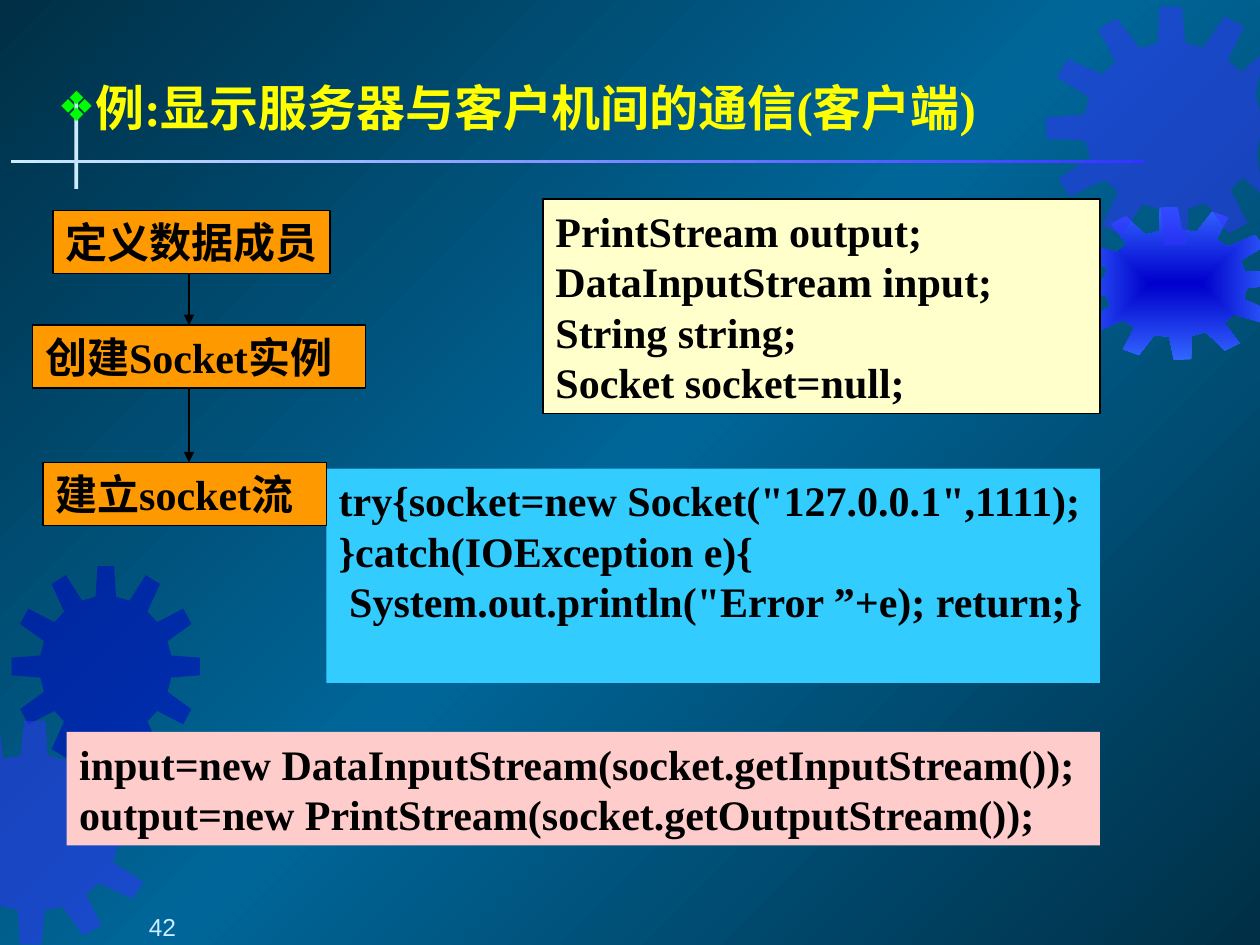
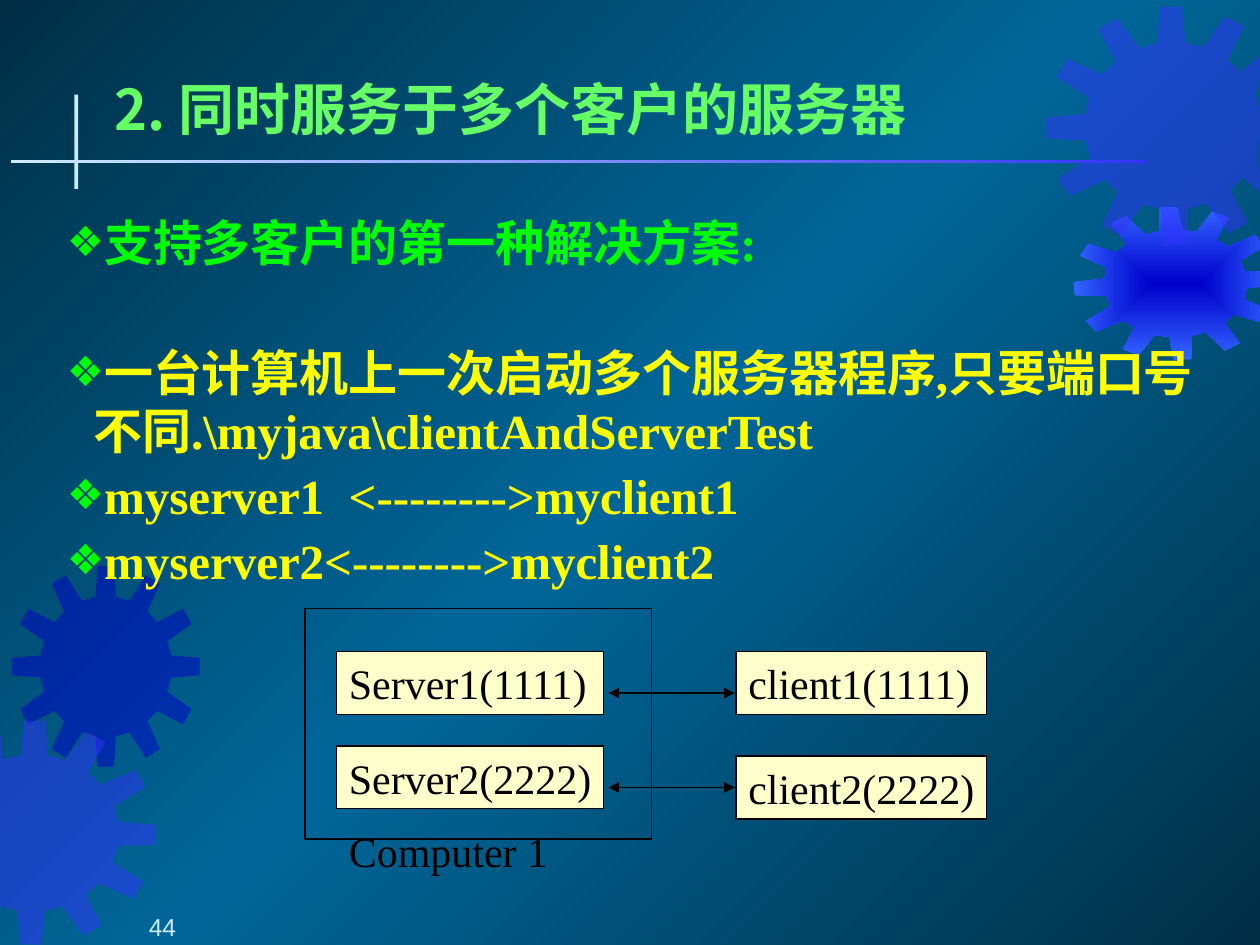
from math import cos, radians, sin
from pptx import Presentation
from pptx import oxml
from pptx.dml.color import RGBColor
from pptx.enum import shapes, text
from pptx.oxml import ns
from pptx.util import Inches, Pt

COLORS = {
    "deep": "002F46", "ocean": "006699", "navy": "0000CC", "blue": "3333FF",
    "azure": "3366FF", "ice": "CCECFF", "yellow": "FFFF00", "green": "00FF00",
    "mint": "66FF66", "orange": "FF9900", "cream": "FFFFCC", "sky": "33CCFF",
    "pink": "FFCCCC", "black": "000000",
}
SERIF, HAN, SANS = "Times New Roman", "Noto Sans CJK SC", "Arial"

TEETH = 12
TOOTH = [(-9, 0.7), (-5, 1), (5, 1), (9, 0.7)]
GEARS = [
    {"color": "navy", "center": (0.84, 5.29), "radii": (0.75, 0.8), "turn": 0,
     "limits": (0, 10)},
    {"color": "blue", "center": (0.26, 6.61), "radii": (0.98, 0.89), "turn": 1,
     "limits": (0, 10)},
    {"color": "azure", "center": (9.33, 2.25), "radii": (0.81, 0.61), "turn": -4,
     "limits": (0, 11)},
    {"color": "blue", "center": (9.31, 1), "radii": (1.01, 0.95), "turn": -1,
     "limits": (0, 10)},
]

CLIENT = {
    "number": "42",
    "body": ((0.42, 0.58, 9.05, 0.55),
             [("例:显示服务器与客户机间的通信(客户端)", "yellow", 3.5)]),
    "bold": True,
    "boxes": [
        ((0.26, 2.58, 2.64, 0.5), "orange", "black", ["创建Socket实例"]),
        ((4.31, 1.58, 4.42, 1.7), "cream", "black",
         ["PrintStream output;", "DataInputStream input;", "String string;",
          "Socket socket=null;"]),
        ((0.42, 1.67, 2.2, 0.5), "orange", "black", ["定义数据成员"]),
        ((2.59, 3.72, 6.14, 1.7), "sky", None,
         ['try{socket=new Socket("127.0.0.1",1111);', "}catch(IOException e){",
          ' System.out.println("Error ”+e); return;}']),
        ((0.53, 5.81, 8.2, 0.9), "pink", None,
         ["input=new DataInputStream(socket.getInputStream());",
          "output=new PrintStream(socket.getOutputStream());"]),
        ((0.34, 3.67, 2.25, 0.5), "orange", "black", ["建立socket流"]),
    ],
    "arrows": [(1.5, 2.17, 1.5, 2.58), (1.5, 3.08, 1.5, 3.67)],
    "heads": ["tailEnd"],
}
SERVER = {
    "number": "44",
    "title": "2. 同时服务于多个客户的服务器",
    "body": ((0.49, 1.65, 9.05, 3.07), [
        ("支持多客户的第一种解决方案:", "green", 3.5),
        ("一台计算机上一次启动多个服务器程序,只要端口号不同.\\myjava\\clientAndServerTest",
         "yellow", 40.5),
        ("myserver1  <-------->myclient1", "yellow", 3.5),
        ("myserver2<-------->myclient2", "yellow", 3.5),
    ]),
    "bold": False,
    "boxes": [
        ((2.67, 5.17, 2.12, 0.5), "cream", "black", ["Server1(1111)"]),
        ((5.84, 6, 1.99, 0.5), "cream", "black", ["client2(2222)"]),
        ((2.67, 5.92, 2.12, 0.5), "cream", "black", ["Server2(2222)"]),
        ((5.84, 5.17, 1.99, 0.5), "cream", "black", ["client1(1111)"]),
        ((2.42, 4.83, 2.75, 1.83), None, "black", []),
        ((2.67, 6.5, 1.78, 0.5), None, None, ["Computer 1"]),
    ],
    "arrows": [(4.83, y, 5.83, y) for y in (5.5, 6.25)],
    "heads": ["headEnd", "tailEnd"],
}


def rgb(name):
    return RGBColor.from_string(COLORS[name])


def place(shape, area):
    shape.left, shape.top, shape.width, shape.height = map(Inches, area)


def paint_gradient(fill, element, stops, direction):
    fill.gradient()
    plain = next(element.iter(ns.qn("a:gradFill")))
    marks = "".join(f'<a:gs pos="{position * 1000}"><a:srgbClr val="{COLORS[name]}"/></a:gs>'
                    for position, name in stops)
    plain.getparent().replace(plain, oxml.parse_xml(
        f'<a:gradFill {ns.nsdecls("a")} rotWithShape="1"><a:gsLst>{marks}</a:gsLst>'
        f'{direction}</a:gradFill>'))


def paint_solid(shape, fill, line=None):
    shape.shadow.inherit = False
    if fill:
        shape.fill.solid()
        shape.fill.fore_color.rgb = rgb(fill)
    else:
        shape.fill.background()
    if line:
        shape.line.color.rgb = rgb(line)
        shape.line.width = Pt(0.75)
    else:
        shape.line.fill.background()


def style_paragraph(paragraph, size, color, bold=False, latin=SERIF, pitch=None,
                    align=text.PP_ALIGN.LEFT):
    paragraph.alignment = align
    if pitch:
        paragraph.line_spacing = Pt(pitch)
    for run in paragraph.runs:
        run.font.size, run.font.bold, run.font.name = Pt(size), bold, latin
        run.font.color.rgb = rgb(color)
        properties = run._r.get_or_add_rPr()
        properties.append(oxml.parse_xml(f'<a:ea {ns.nsdecls("a")} typeface="{HAN}"/>'))


def set_frame(frame, margins, anchor=text.MSO_ANCHOR.TOP):
    frame.word_wrap = True
    frame.auto_size = text.MSO_AUTO_SIZE.NONE
    frame.vertical_anchor = anchor
    (frame.margin_left, frame.margin_top,
     frame.margin_right, frame.margin_bottom) = map(Inches, margins)


def add_bullet(paragraph):
    properties = paragraph._p.get_or_add_pPr()
    properties.set("marL", str(Inches(0.21)))
    properties.set("indent", str(-Inches(0.21)))
    for mark in (f'buClr {ns.nsdecls("a")}><a:srgbClr val="{COLORS["green"]}"/></a:buClr',
                 f'buSzPct {ns.nsdecls("a")} val="85000"/',
                 f'buChar {ns.nsdecls("a")} char="❖"/'):
        properties.append(oxml.parse_xml(f"<a:{mark}>"))


def gear_outline(center, radii, turn, limits):
    points = []
    for tooth in range(TEETH):
        for offset, reach in TOOTH:
            angle = radians(tooth * 360 / TEETH + turn + offset)
            x = center[0] + radii[0] * reach * cos(angle)
            y = center[1] + radii[1] * reach * sin(angle)
            points.append((Inches(min(max(x, limits[0]), limits[1])), Inches(y)))
    return points


def add_gear(slide, color, **geometry):
    start, *points = gear_outline(**geometry)
    builder = slide.shapes.build_freeform(*start)
    builder.add_line_segments(points, close=True)
    gear = builder.convert_to_shape()
    paint_solid(gear, color)
    if color == "azure":
        paint_gradient(gear.fill, gear.element, [(0, "navy"), (100, "azure")],
                       '<a:path path="rect"><a:fillToRect l="50000" t="50000" '
                       'r="50000" b="50000"/></a:path>')
    else:
        tint = next(gear.element.iter(ns.qn("a:srgbClr")))
        tint.append(oxml.parse_xml(f'<a:alpha {ns.nsdecls("a")} val="50000"/>'))
    return gear


def build_master(master, slide):
    paint_gradient(master.background.fill, master.element,
                   [(0, "deep"), (50, "ocean"), (100, "deep")],
                   '<a:lin ang="13500000" scaled="0"/>')
    decorations = [add_gear(slide, **gear) for gear in GEARS]
    for area in ((0.59, 0.75, 0.03, 0.75), (0.09, 1.27, 9, 0.02)):
        bar = slide.shapes.add_shape(shapes.MSO_SHAPE.RECTANGLE, *map(Inches, area))
        paint_solid(bar, "ice")
        decorations.append(bar)
    paint_gradient(bar.fill, bar.element, [(0, "blue"), (100, "ice")],
                   '<a:lin ang="10800000" scaled="0"/>')
    for shape in decorations:
        master.shapes.element.append(shape.element)


def fill_placeholders(slide, content):
    title, body = slide.placeholders
    if "title" in content:
        place(title, (0.87, 0.54, 8.84, 0.63))
        set_frame(title.text_frame, (0.04, 0.05, 0.04, 0.05), text.MSO_ANCHOR.MIDDLE)
        title.text_frame.text = content["title"]
        style_paragraph(title.text_frame.paragraphs[0], 32, "mint", True, HAN)
    else:
        title.element.getparent().remove(title.element)
    area, items = content["body"]
    place(body, area)
    set_frame(body.text_frame, [0.04] * 4)
    body.text_frame.text = "\n".join(item[0] for item in items)
    for paragraph, (_, color, gap) in zip(body.text_frame.paragraphs, items):
        paragraph.space_before = Pt(gap)
        style_paragraph(paragraph, 28, color, True, pitch=33.5)
        add_bullet(paragraph)


def add_box(slide, area, fill, line, lines, bold):
    box = slide.shapes.add_shape(shapes.MSO_SHAPE.RECTANGLE, *map(Inches, area))
    paint_solid(box, fill, line)
    if lines:
        set_frame(box.text_frame, (0.1, 0.05, 0, 0.05))
        box.text_frame.text = "\n".join(lines)
        for paragraph in box.text_frame.paragraphs:
            style_paragraph(paragraph, 24, "black", bold, pitch=28.8)


def add_arrow(slide, ends, heads):
    arrow = slide.shapes.add_connector(shapes.MSO_CONNECTOR.STRAIGHT, *map(Inches, ends))
    arrow.line.color.rgb = rgb("black")
    arrow.line.width = Pt(0.75)
    properties = arrow.element.spPr
    for head in heads:
        properties.get_or_add_ln().append(
            oxml.parse_xml(f'<a:{head} {ns.nsdecls("a")} type="triangle"/>'))
    properties.append(oxml.parse_xml(f'<a:effectLst {ns.nsdecls("a")}/>'))


def add_number(slide, number):
    box = slide.shapes.add_textbox(*map(Inches, (0.5, 7.05, 1.58, 0.42)))
    set_frame(box.text_frame, (0.1, 0, 0.1, 0), text.MSO_ANCHOR.BOTTOM)
    box.text_frame.text = number
    style_paragraph(box.text_frame.paragraphs[0], 14, "ice", latin=SANS,
                    align=text.PP_ALIGN.CENTER)


def main():
    presentation = Presentation()
    presentation.slide_width, presentation.slide_height = Inches(10), Inches(7.5)
    for index, content in enumerate((CLIENT, SERVER)):
        slide = presentation.slides.add_slide(presentation.slide_layouts[1])
        if index == 0:
            build_master(presentation.slide_master, slide)
        fill_placeholders(slide, content)
        for box in content["boxes"]:
            add_box(slide, *box, content["bold"])
        for ends in content["arrows"]:
            add_arrow(slide, ends, content["heads"])
        add_number(slide, content["number"])
    presentation.save("out.pptx")


if __name__ == "__main__":
    main()
